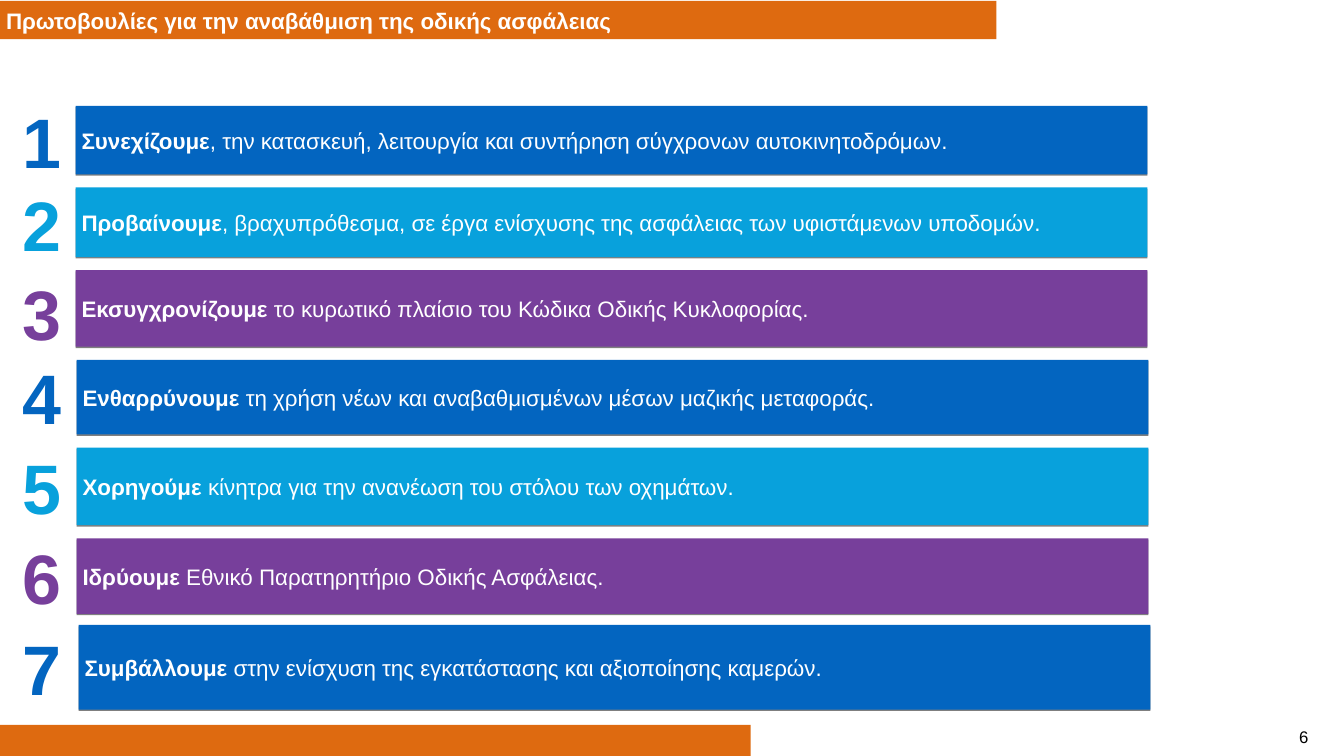
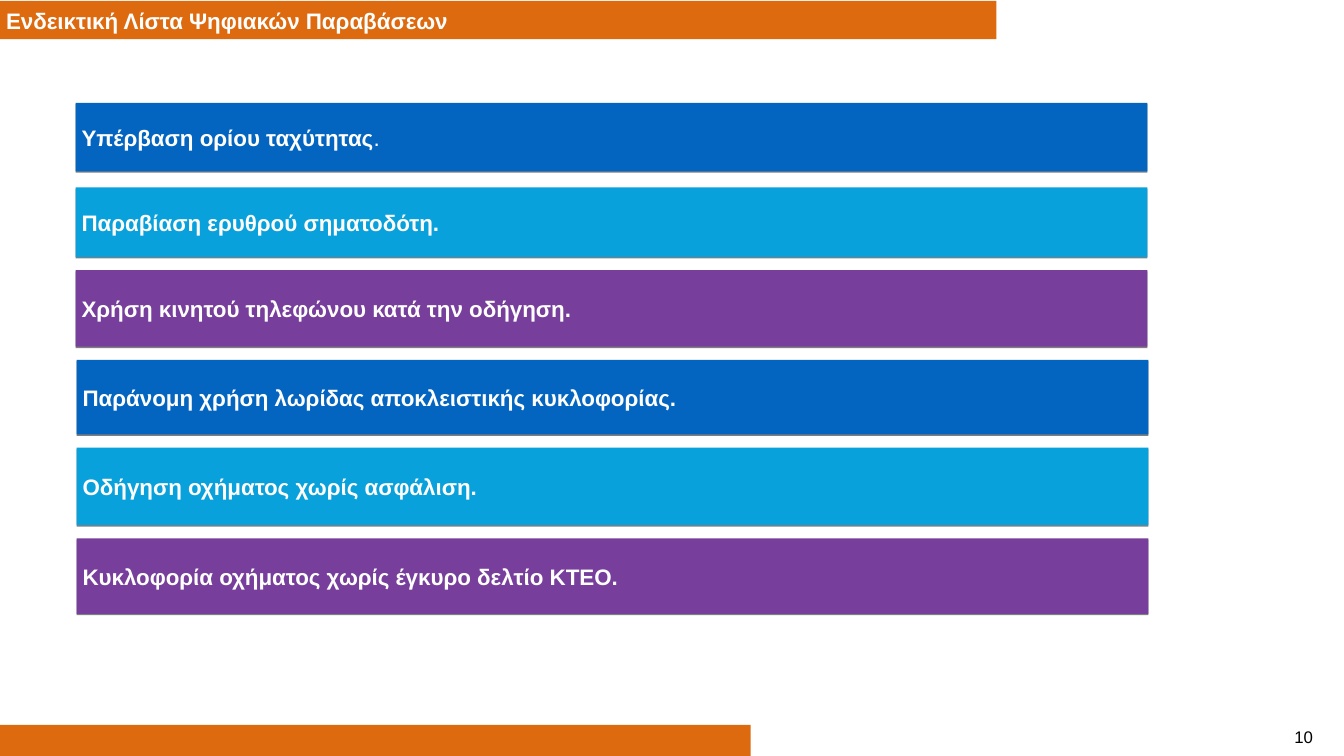
from lxml import etree
from pptx import Presentation
from pptx.dml.color import RGBColor
from pptx.enum import shapes, text
from pptx.oxml import ns
from pptx.util import Pt

PX = 9144  # one hundredth of an inch
FONT = "Arial"
ORANGE, WHITE, BLACK = "DE6A10", "FFFFFF", "000000"
BLUE, CYAN, PURPLE = "0365C0", "08A1DC", "773F9B"
BAR_COLORS = [BLUE, CYAN, PURPLE]
BAR_WIDTH = 1064

# Each row: bar left, bar top, bar height, number top
ROWS = [
    (75, 105, 68, 106),
    (75, 186, 69, 189),
    (75, 268, 76, 277),
    (76, 357, 74, 360),
    (76, 444, 77, 450),
    (76, 534, 75, 539),
    (78, 620, 84, 629),
]

# Each entry: bold start, regular remainder
INITIATIVES = [
    ("Συνεχίζουμε", ", την κατασκευή, λειτουργία και συντήρηση σύγχρονων αυτοκινητοδρόμων."),
    ("Προβαίνουμε", ", βραχυπρόθεσμα, σε έργα ενίσχυσης της ασφάλειας των υφιστάμενων υποδομών."),
    ("Εκσυγχρονίζουμε", " το κυρωτικό πλαίσιο του Κώδικα Οδικής Κυκλοφορίας."),
    ("Ενθαρρύνουμε", " τη χρήση νέων και αναβαθμισμένων μέσων μαζικής μεταφοράς."),
    ("Χορηγούμε", " κίνητρα για την ανανέωση του στόλου των οχημάτων."),
    ("Ιδρύουμε ", "Εθνικό Παρατηρητήριο Οδικής Ασφάλειας."),
    ("Συμβάλλουμε", " στην ενίσχυση της εγκατάστασης και αξιοποίησης καμερών."),
]
VIOLATIONS = [
    ("Υπέρβαση ορίου ταχύτητας", "."),
    ("Παραβίαση ερυθρού σηματοδότη.", ""),
    ("Χρήση κινητού τηλεφώνου κατά την οδήγηση.", ""),
    ("Παράνομη χρήση λωρίδας αποκλειστικής κυκλοφορίας.", ""),
    ("Οδήγηση οχήματος χωρίς ασφάλιση.", ""),
    ("Κυκλοφορία οχήματος χωρίς έγκυρο δελτίο ΚΤΕΟ.", ""),
]


def rgb(value):
    return RGBColor.from_string(value)


def scaled(*lengths):
    return [length * PX for length in lengths]


def write(box, strong, plain="", size=16, color=WHITE, align=text.PP_ALIGN.LEFT,
          anchor=text.MSO_ANCHOR.MIDDLE, insets=(6, 6, 6, 6), line_spacing=None):
    """Fill a shape with one paragraph: a bold span, then a regular one."""
    frame = box.text_frame
    frame.word_wrap = True
    frame.auto_size = text.MSO_AUTO_SIZE.NONE
    frame.vertical_anchor = anchor
    (frame.margin_left, frame.margin_top,
     frame.margin_right, frame.margin_bottom) = scaled(*insets)
    para = frame.paragraphs[0]
    para.alignment = align
    para.line_spacing = line_spacing
    for content, bold in ((strong, True), (plain, False)):
        if content:
            span = para.add_run()
            span.text = content
            span.font.name = FONT
            span.font.size = Pt(size)
            span.font.bold = bold
            span.font.color.rgb = rgb(color)


def add_band(page, left, top, width, height, color):
    band = page.shapes.add_shape(shapes.MSO_SHAPE.RECTANGLE,
                                 *scaled(left, top, width, height))
    band.shadow.inherit = False
    band.fill.solid()
    band.fill.fore_color.rgb = rgb(color)
    band.line.fill.background()
    return band


def add_drop_shadow(box):
    effects = box._element.spPr.find(ns.qn("a:effectLst"))
    shadow = etree.SubElement(effects, ns.qn("a:outerShdw"),
                              blurRad="0", dist="12700", dir="5400000", rotWithShape="0")
    color = etree.SubElement(shadow, ns.qn("a:srgbClr"), val=BLACK)
    etree.SubElement(color, ns.qn("a:alpha"), val="49000")


def add_bar(page, left, top, height, color, strong, plain):
    bar = add_band(page, left, top, BAR_WIDTH, height, color)
    add_drop_shadow(bar)
    write(bar, strong, plain)


def add_number(page, number, top, color):
    box = page.shapes.add_textbox(*scaled(0, top, 83, 75))
    write(box, str(number), size=50, color=color, align=text.PP_ALIGN.CENTER,
          anchor=text.MSO_ANCHOR.TOP, insets=(0, 4, 0, 0), line_spacing=0.85)


def add_page(deck, title, page_number):
    """Start a slide with the shared title band, footer band and page number."""
    page = deck.slides.add_slide(deck.slide_layouts[5])
    heading = page.shapes.title
    heading.left, heading.top, heading.width, heading.height = scaled(0, 1, 989, 38)
    heading.fill.solid()
    heading.fill.fore_color.rgb = rgb(ORANGE)
    write(heading, title)
    add_band(page, 0, 719, 745, 31, ORANGE)
    box = page.shapes.add_textbox(*scaled(1277, 715, 34, 34))
    write(box, "", str(page_number), size=12, color=BLACK,
          align=text.PP_ALIGN.CENTER, anchor=text.MSO_ANCHOR.TOP)
    return page


def add_list(page, entries, numbered=False, first_shift=0):
    for index, ((strong, plain), row) in enumerate(zip(entries, ROWS)):
        left, top, height, number_top = row
        color = BAR_COLORS[index % len(BAR_COLORS)]
        shift = first_shift if index == 0 else 0
        add_bar(page, left, top + shift, height, color, strong, plain)
        if numbered:
            add_number(page, index + 1, number_top, color)


def main():
    deck = Presentation()
    deck.slide_width, deck.slide_height = scaled(1334, 750)

    # Initiatives
    page = add_page(deck, "Πρωτοβουλίες για την αναβάθμιση της οδικής ασφάλειας", 6)
    add_list(page, INITIATIVES, numbered=True)

    # Violations
    page = add_page(deck, "Ενδεικτική Λίστα Ψηφιακών Παραβάσεων", 10)
    add_list(page, VIOLATIONS, first_shift=-3)

    deck.save("out.pptx")


if __name__ == "__main__":
    main()
